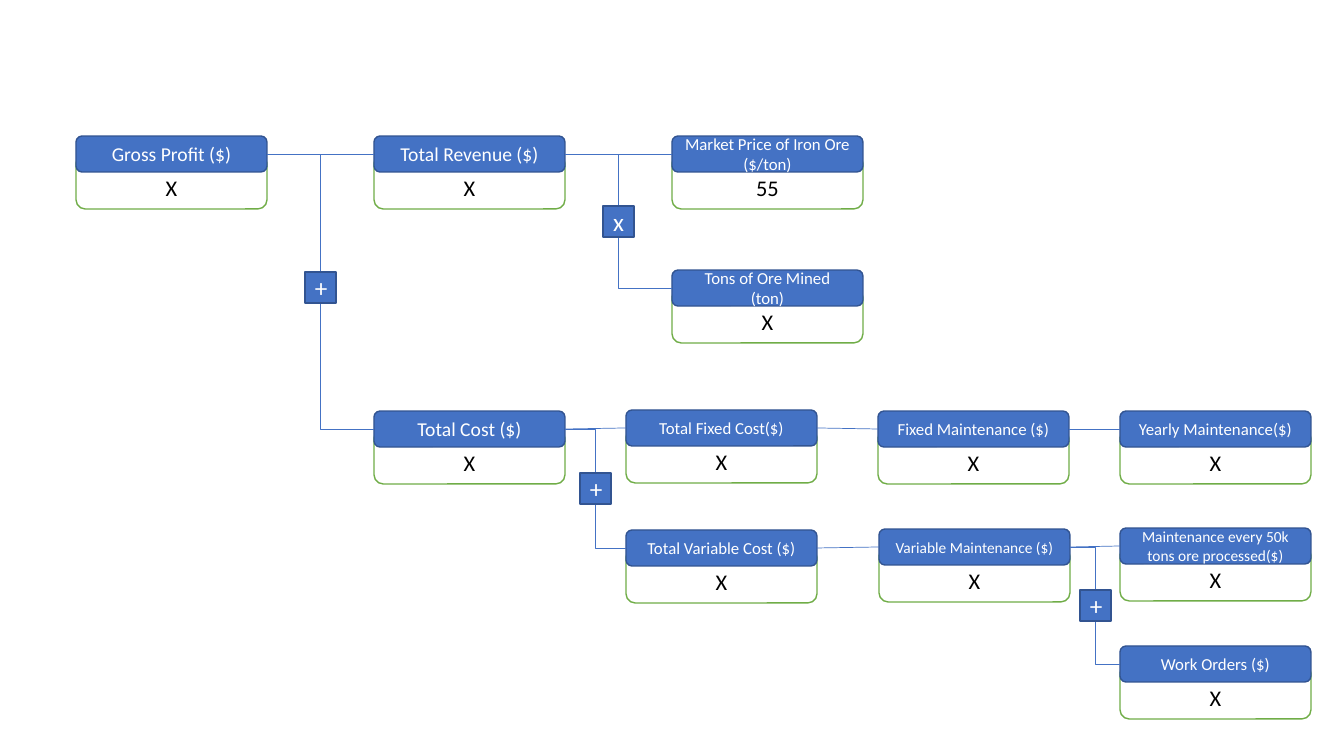
from collections import namedtuple
from lxml import etree
from pptx import Presentation
from pptx.dml.color import RGBColor
from pptx.enum.shapes import MSO_CONNECTOR, MSO_SHAPE
from pptx.enum.text import MSO_ANCHOR, PP_ALIGN
from pptx.oxml.ns import qn
from pptx.util import Pt

Box = namedtuple("Box", "left top width height")

ROUNDED, SQUARE = MSO_SHAPE.ROUNDED_RECTANGLE, MSO_SHAPE.RECTANGLE
STRAIGHT, ELBOW = MSO_CONNECTOR.STRAIGHT, MSO_CONNECTOR.ELBOW
MIDDLE, BOTTOM = MSO_ANCHOR.MIDDLE, MSO_ANCHOR.BOTTOM
CENTER = PP_ALIGN.CENTER
LEFT_SITE, RIGHT_SITE = 1, 3

EMU_PER_PIXEL = 914400 / 100.8
FONT = "Calibri"
COLORS = {
    "blue": "4472C4",
    "navy": "325491",
    "green": "70AD47",
    "white": "FFFFFF",
    "black": "000000",
}
CARD_WIDTH, CARD_HEIGHT = 191, 73
HEADER_HEIGHT, BODY_OFFSET = 36, 18
OPERATOR_SIZE = 31

CARDS = {
    "profit": (76, 136, "Gross Profit ($)", 14, "X"),
    "revenue": (374, 136, "Total Revenue ($)", 14, "X"),
    "price": (672, 136, "Market Price of Iron Ore ($/ton)", 12, "55"),
    "tons": (672, 270, "Tons of Ore Mined\n(ton)", 12, "X"),
    "cost": (374, 411, "Total Cost ($)", 14, "X"),
    "fixed cost": (626, 410, "Total Fixed Cost($)", 12, "X"),
    "variable cost": (626, 530, "Total Variable Cost ($)", 12, "X"),
    "fixed maintenance": (878, 411, "Fixed Maintenance ($)", 12, "X"),
    "variable maintenance": (879, 529, "Variable Maintenance ($)", 11, "X"),
    "yearly": (1120, 411, "Yearly Maintenance($)", 12, "X"),
    "per tonnage": (1120, 528, "Maintenance every 50k tons ore processed($)", 11, "X"),
    "work orders": (1120, 646, "Work Orders ($)", 12, "X"),
}
STRAIGHT_LINKS = [
    ("profit", "revenue"),
    ("revenue", "price"),
    ("cost", "fixed cost"),
    ("fixed cost", "fixed maintenance"),
    ("fixed maintenance", "yearly"),
    ("variable cost", "variable maintenance"),
    ("variable maintenance", "per tonnage"),
]
BRANCHES = [
    ("profit", "cost", "+", 272),
    ("revenue", "tons", "x", 206),
    ("cost", "variable cost", "+", 473),
    ("variable maintenance", "work orders", "+", 590),
]


def px(value):
    return round(value * EMU_PER_PIXEL)


def color(name):
    return RGBColor.from_string(COLORS[name])


def add_block(page, kind, box, text, size, fill, line, ink, anchor):
    block = page.shapes.add_shape(kind, *map(px, box))
    block.shadow.inherit = False
    block.fill.solid()
    block.fill.fore_color.rgb = color(fill)
    block.line.color.rgb = color(line)
    block.line.width = Pt(1)
    frame = block.text_frame
    frame.text = text
    frame.word_wrap = True
    frame.vertical_anchor = anchor
    for para in frame.paragraphs:
        para.alignment = CENTER
        for span in para.runs:
            span.font.name = FONT
            span.font.size = Pt(size)
            span.font.color.rgb = color(ink)
    return block


def add_card(page, box, title, title_size, value):
    body = Box(box.left, box.top + BODY_OFFSET, box.width, box.height - BODY_OFFSET)
    header = Box(box.left, box.top, box.width, HEADER_HEIGHT)
    add_block(page, ROUNDED, body, value, 16, "white", "green", "black", BOTTOM)
    return add_block(page, ROUNDED, header, title, title_size, "blue", "navy", "white", MIDDLE)


def add_link(page, kind, parent, child):
    link = page.shapes.add_connector(kind, 0, 0, 0, 0)
    link.begin_connect(parent, RIGHT_SITE)
    link.end_connect(child, LEFT_SITE)
    link.line.color.rgb = color("blue")
    link.line.width = Pt(0.5)
    etree.SubElement(link._element.spPr, qn("a:effectLst"))


def add_operator(page, box, sign):
    add_block(page, SQUARE, box, sign, 18, "blue", "navy", "white", MIDDLE)


def add_value_tree(page):
    headers = {}
    for name, (left, top, *content) in CARDS.items():
        box = Box(left, top, CARD_WIDTH, CARD_HEIGHT)
        headers[name] = add_card(page, box, *content)
    for parent, child in STRAIGHT_LINKS:
        add_link(page, STRAIGHT, headers[parent], headers[child])
    for parent, child, sign, top in BRANCHES:
        add_link(page, ELBOW, headers[parent], headers[child])
        middle = (CARDS[parent][0] + CARD_WIDTH + CARDS[child][0]) / 2
        left = round(middle - OPERATOR_SIZE / 2)
        add_operator(page, Box(left, top, OPERATOR_SIZE, OPERATOR_SIZE), sign)


deck = Presentation()
deck.slide_width, deck.slide_height = px(1344), px(756)
add_value_tree(deck.slides.add_slide(deck.slide_layouts[6]))
deck.save("out.pptx")
